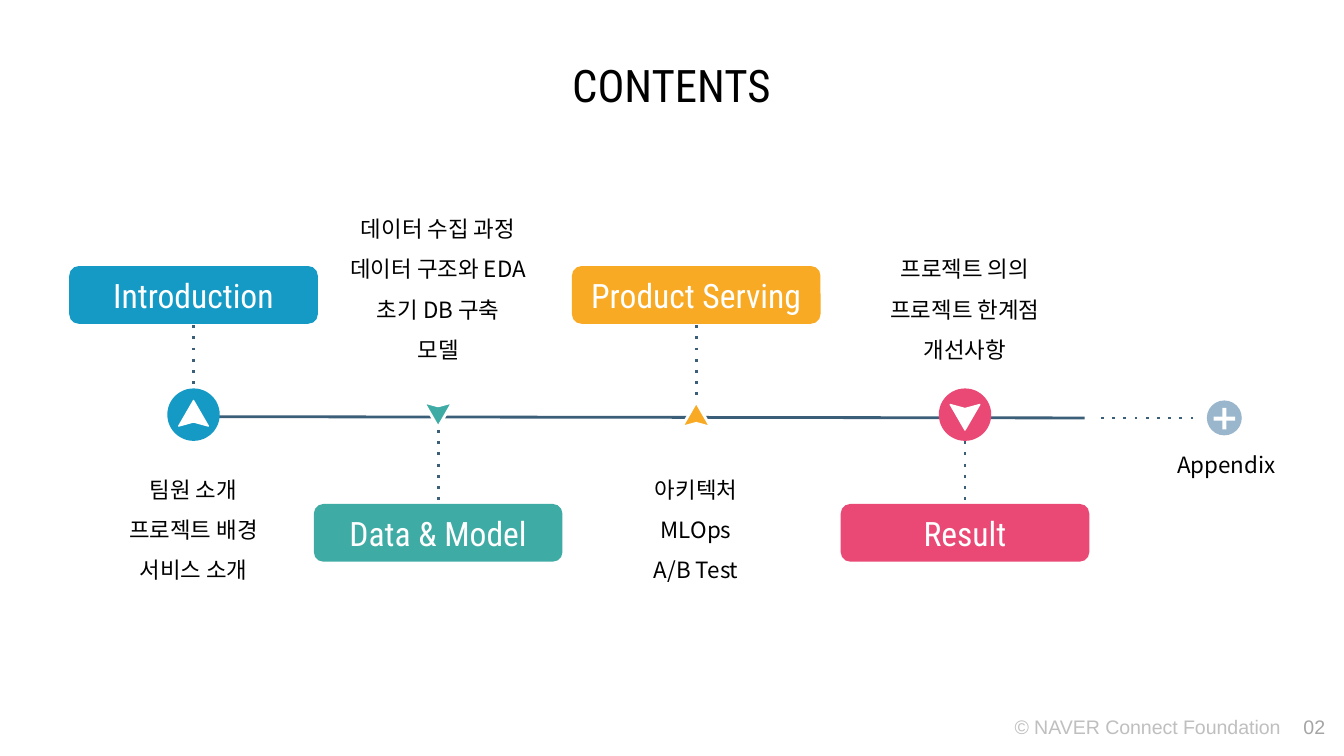
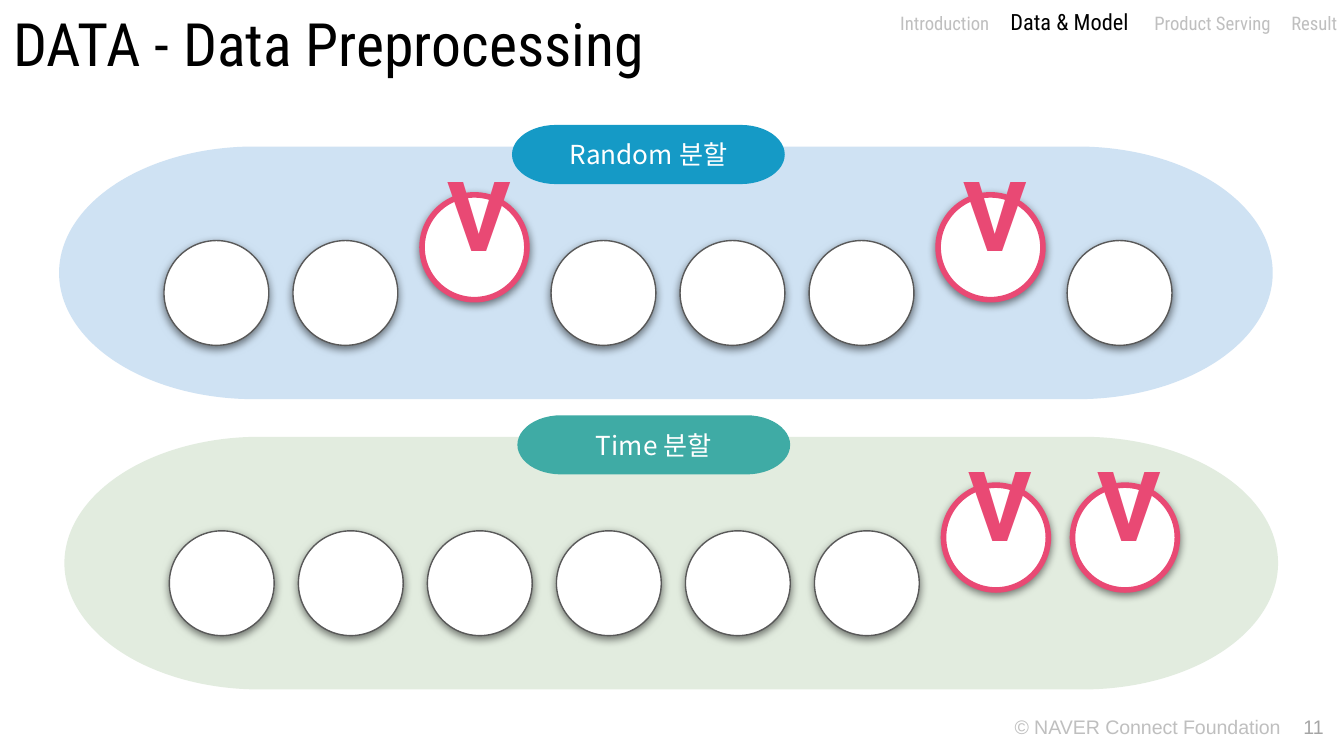
"""Build the contents timeline and the data preprocessing slide."""
import collections
import lxml.etree
import pptx
import pptx.dml.color
import pptx.enum.dml
import pptx.enum.shapes
import pptx.enum.text
import pptx.oxml.ns
import pptx.util

Style = collections.namedtuple("Style", "size font colour bold", defaults=(False,))
Step = collections.namedtuple("Step", "name centre colour up circled arrow_top topics")
Track = collections.namedtuple("Track", "name shift row band pill checked")


class Theme:
    blue, teal, amber, pink = "159AC6", "3FABA5", "F8AA25", "E94974"
    white, slate, mist, outline = "FFFFFF", "3C5F79", "99B6CC", "595959"
    pale_blue, pale_green = "CFE2F3", "E2ECDF"
    heading = Style(24, "Roboto Condensed", "000000")
    page_title = Style(32, "Roboto Condensed", "000000")
    step = Style(18, "Roboto Condensed", "FFFFFF")
    topic = Style(12, "Noto Sans CJK KR", "000000")
    pill = Style(14, "Noto Sans CJK KR", "FFFFFF")
    check = Style(52, "Roboto", "E94974", True)
    section = Style(10, "Roboto Condensed", "BFBFBF")
    current_section = Style(12, "Roboto Condensed", "000000")
    number = Style(10.5, "Arial", "A5A5A5")
    copyright = Style(10.5, "Arial", "BFBFBF")


COLUMNS, ROWS = 100, 56.25
CELL = pptx.util.Inches(0.1)
RGB = pptx.dml.color.RGBColor.from_string
KIND = pptx.enum.shapes.MSO_SHAPE
ALIGN = pptx.enum.text.PP_ALIGN
ANCHOR = pptx.enum.text.MSO_ANCHOR
qn = pptx.oxml.ns.qn


def add_box(page, kind, area, fill=None, line=None, width=0.75):
    """Add a preset shape, or a text box when kind is None, on the grid."""
    place = [round(CELL * length) for length in area]
    if kind is None:
        return page.shapes.add_textbox(*place)
    box = page.shapes.add_shape(kind, *place)
    box.shadow.inherit = False
    box.fill.solid()
    box.fill.fore_color.rgb = RGB(fill)
    if line:
        box.line.color.rgb = RGB(line)
        box.line.width = pptx.util.Pt(width)
    else:
        box.line.fill.background()
    return box


def write(box, paras, align=ALIGN.CENTER, anchor=ANCHOR.MIDDLE, spacing=None, inset=0.1, grow=False):
    """Fill a box with paragraphs, each a list of (text, style) spans."""
    frame = box.text_frame
    frame.word_wrap = True
    sizes = pptx.enum.text.MSO_AUTO_SIZE
    frame.auto_size = sizes.SHAPE_TO_FIT_TEXT if grow else sizes.NONE
    frame.vertical_anchor = anchor
    frame.margin_left = frame.margin_right = pptx.util.Inches(0.1)
    frame.margin_top = frame.margin_bottom = pptx.util.Inches(inset)
    for index, spans in enumerate(paras):
        para = frame.add_paragraph() if index else frame.paragraphs[0]
        para.alignment = align
        if spacing:
            para.line_spacing = spacing
        for text, style in spans:
            span = para.add_run()
            span.text = text
            span.font.size = pptx.util.Pt(style.size)
            span.font.name = style.font
            span.font.bold = style.bold
            span.font.color.rgb = RGB(style.colour)
            lxml.etree.SubElement(span.font._element, qn("a:ea"), typeface=style.font)


deck = pptx.Presentation()
deck.slide_width, deck.slide_height = CELL * COLUMNS, round(CELL * ROWS)

pages = []
for title, style, align, area, number in [
    ("CONTENTS", Theme.heading, ALIGN.CENTER, (23.2, 4.2, 53.5, 4.2), "02"),
    ("DATA - Data Preprocessing", Theme.page_title, ALIGN.LEFT, (0, 0.1, 53.5, 6.2), "11"),
]:
    page = deck.slides.add_slide(deck.slide_layouts[5])
    heading = page.shapes.title
    heading.left, heading.top, heading.width, heading.height = [round(CELL * length) for length in area]
    write(heading, [[(title, style)]], align)
    for left, width, text, style in [
        (96, 3.9, number, Theme.number),
        (74.5, 23.9, "© NAVER Connect Foundation", Theme.copyright),
    ]:
        footer = add_box(page, None, (left, 52.5, width, 2.8))
        write(footer, [[(text, style)]], ALIGN.LEFT, ANCHOR.TOP, 1.1, 0.05, True)
    pages.append(page)
contents, preprocessing = pages

steps = [
    Step("Introduction", 14.4, Theme.blue, True, True, 29.8,
         ["팀원 소개", "프로젝트 배경", "서비스 소개"]),
    Step("Data & Model", 32.6, Theme.teal, False, False, 29.9,
         ["데이터 수집 과정", "데이터 구조와 EDA", "초기 DB 구축", "모델"]),
    Step("Product Serving", 51.8, Theme.amber, True, False, 29.9,
         ["아키텍처", "MLOps", "A/B Test"]),
    Step("Result", 71.8, Theme.pink, False, True, 30.1,
         ["프로젝트 의의", "프로젝트 한계점", "개선사항"]),
]

stems = [(step.centre, 24.2 if step.up else 32, step.centre, 29.4 if step.up else 37.2, True)
         for step in steps]
for *ends, dotted in [(88.8, 31.1, 81.6, 31.1, True), (13.1, 31, 80.7, 31.1, False)] + stems:
    connector = contents.shapes.add_connector(
        pptx.enum.shapes.MSO_CONNECTOR.STRAIGHT, *[round(CELL * end) for end in ends])
    connector.line.color.rgb = RGB(Theme.slate)
    connector.line.width = pptx.util.Pt(1.5)
    properties = connector._element.spPr
    if dotted:
        lxml.etree.SubElement(properties.find(qn("a:ln")), qn("a:prstDash"), val="dot")
    lxml.etree.SubElement(properties, qn("a:effectLst"))

add_box(contents, KIND.OVAL, (89.8, 29.8, 2.6, 2.6), Theme.mist)
for turn in (270, 180):
    bar = add_box(contents, KIND.RECTANGLE, (90.3, 31, 1.6, 0.3), Theme.white)
    bar.rotation = turn
appendix = add_box(contents, None, (86.2, 31.6, 10.1, 2.6))
write(appendix, [[("Appendix", Theme.topic)]], anchor=ANCHOR.TOP, spacing=1.5)

for step in steps:
    if step.circled:
        add_box(contents, KIND.OVAL, (step.centre - 1.95, 28.9, 3.9, 3.9), step.colour)
    tip, notch, wing = (0, 1.6, 1.9) if step.up else (1.9, 0.3, 0)
    outline = [(round(CELL * (step.centre + across)), round(CELL * (step.arrow_top + down)))
               for across, down in [(0, tip), (-1.1, wing), (0, notch), (1.1, wing)]]
    builder = contents.shapes.build_freeform(*outline[0])
    builder.add_line_segments(outline[1:], close=True)
    arrow = builder.convert_to_shape()
    arrow.shadow.inherit = False
    arrow.fill.solid()
    arrow.fill.fore_color.rgb = RGB(Theme.white if step.circled else step.colour)
    arrow.line.color.rgb = RGB(Theme.white)
    arrow.line.width = pptx.util.Pt(0.75 if step.circled else 1.5)
    label = add_box(contents, KIND.ROUNDED_RECTANGLE,
                    (step.centre - 9.25, 19.8 if step.up else 37.5, 18.5, 4.3), step.colour)
    write(label, [[(step.name, Theme.step)]])
    topics = add_box(contents, None, (step.centre - 9.7, 33.4 if step.up else 17.8, 19.4, 10.2))
    write(topics, [[(topic, Theme.topic)] for topic in step.topics],
          anchor=ANCHOR.TOP if step.up else ANCHOR.BOTTOM, spacing=1.5)

sections = add_box(preprocessing, None, (66, 0.1, 34, 3))
write(sections, [[("Introduction", Theme.section), ("\tData & Model", Theme.current_section),
                  ("\tProduct Serving\tResult", Theme.section)]],
      ALIGN.LEFT, ANCHOR.TOP, inset=0.05, grow=True)
sections.text_frame.margin_right = 0
tabs = lxml.etree.SubElement(sections.text_frame.paragraphs[0]._p.get_or_add_pPr(), qn("a:tabLst"))
for stop in (8.2, 18.9, 29.1):
    lxml.etree.SubElement(tabs, qn("a:tab"), pos=str(round(CELL * stop)), algn="l")

tracks = [
    Track("Random 분할", 0, 9.3, Theme.pale_blue, Theme.blue, (2, 6)),
    Track("Time 분할", 0.4, 30.9, Theme.pale_green, Theme.teal, (6, 7)),
]
for track in tracks:
    add_box(preprocessing, KIND.FLOWCHART_TERMINATOR,
            (4.4 + track.shift, track.row + 1.6, 90.3, 18.8), track.band)
    pill = add_box(preprocessing, KIND.FLOWCHART_TERMINATOR,
                   (38.1 + track.shift, track.row, 20.3, 4.4), track.pill)
    write(pill, [[(track.name, Theme.pill)]])
    for index in range(8):
        checked = index in track.checked
        left = 12.2 + track.shift + 9.6 * index
        top = track.row + (5.2 if checked else 8.6)
        sample = add_box(preprocessing, KIND.FLOWCHART_CONNECTOR, (left, top, 7.8, 7.8), Theme.white,
                         Theme.pink if checked else Theme.outline, 3 if checked else 0.75)
        shadow = lxml.etree.SubElement(
            sample._element.spPr.find(qn("a:effectLst")), qn("a:outerShdw"),
            blurRad=str(pptx.util.Pt(4.5)), dist=str(pptx.util.Pt(1.5)),
            dir="5400000", algn="bl", rotWithShape="0")
        tint = lxml.etree.SubElement(shadow, qn("a:srgbClr"), val="000000")
        lxml.etree.SubElement(tint, qn("a:alpha"), val="50000")
        if checked:
            check = add_box(preprocessing, None, (left + 0.9, top - 4, 3.7, 10.8))
            write(check, [[("V", Theme.check)]], ALIGN.LEFT, ANCHOR.TOP, grow=True)

deck.save("out.pptx")
